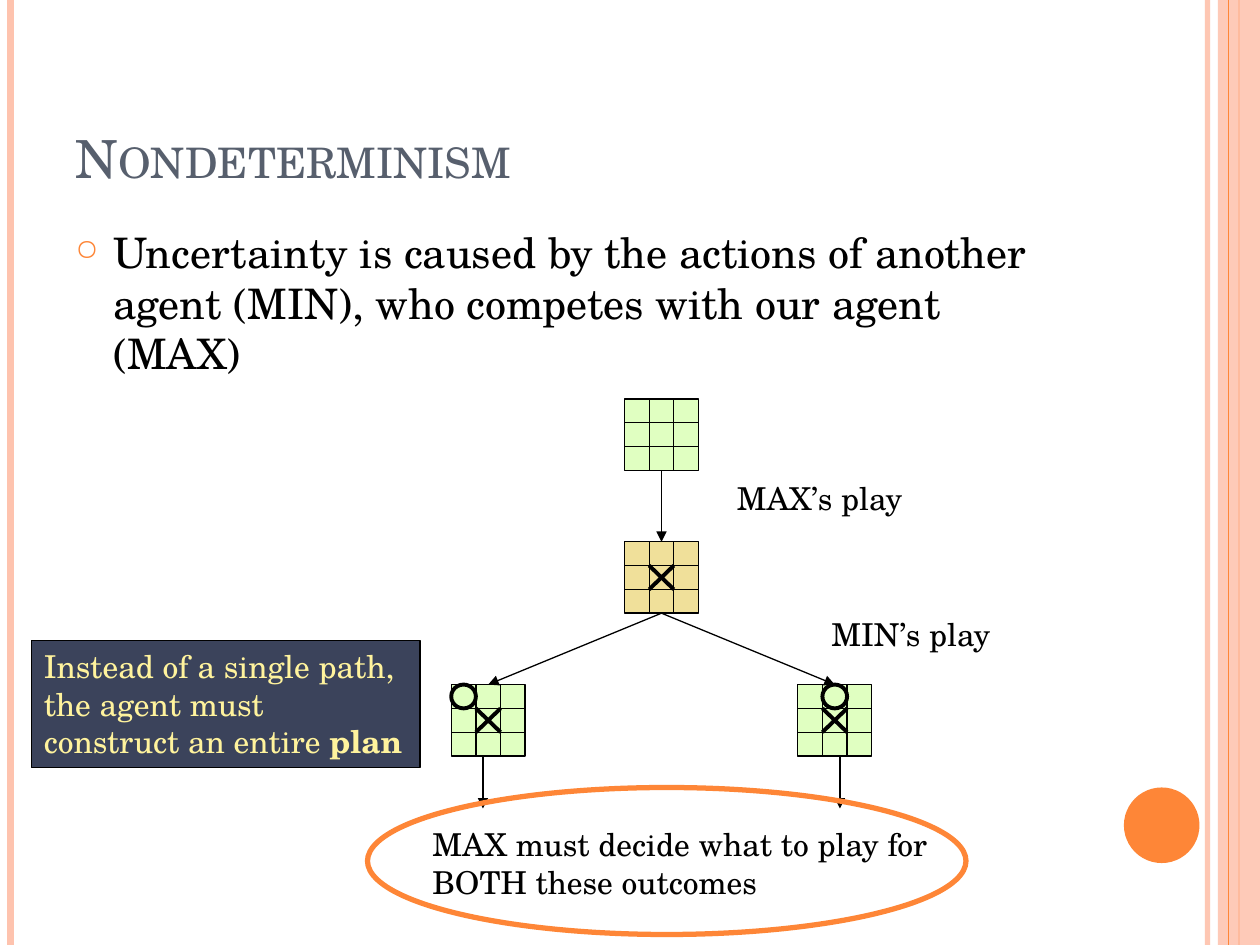
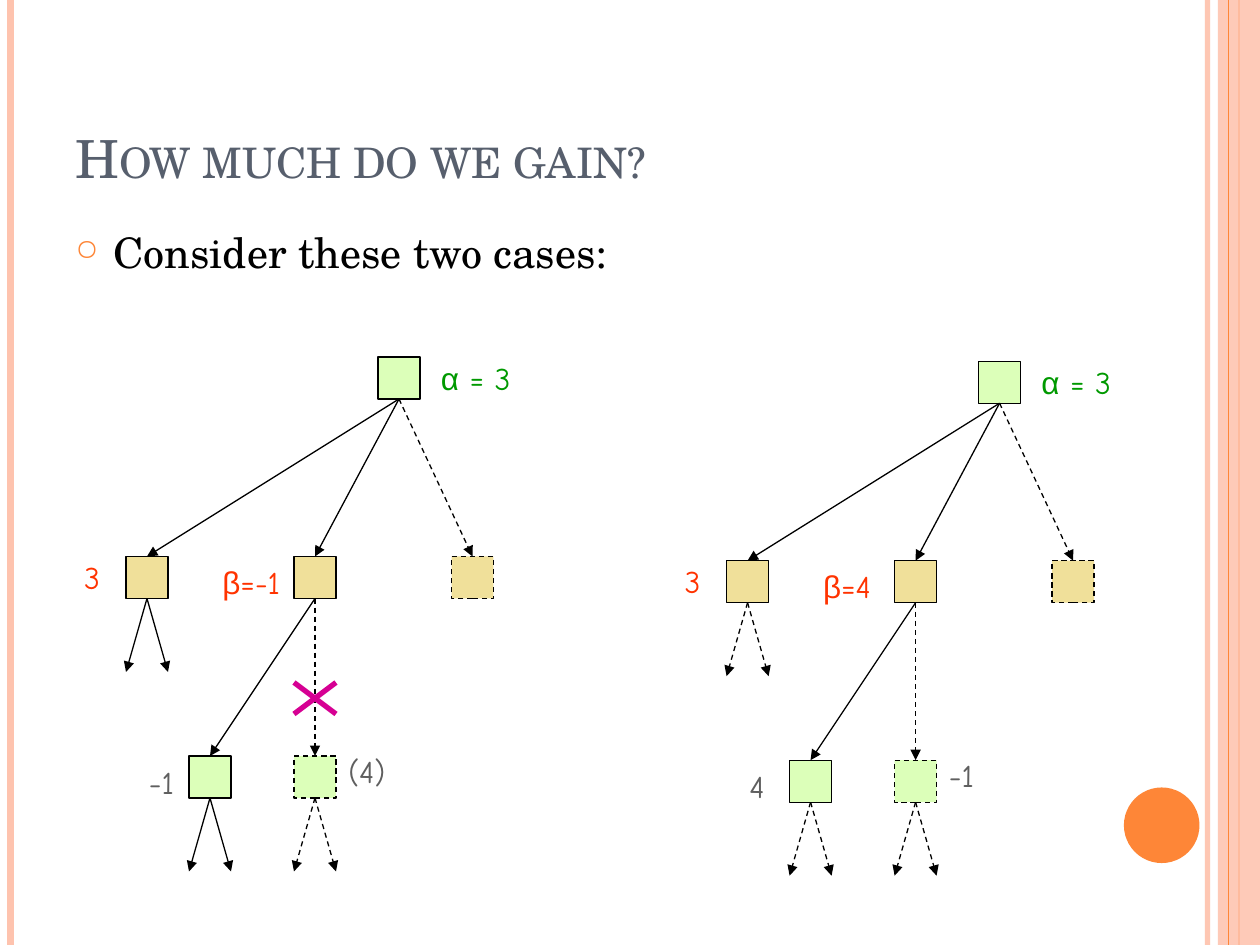
from functools import reduce

from lxml.etree import SubElement
from pptx import Presentation
from pptx.dml.color import RGBColor
from pptx.enum.dml import MSO_LINE
from pptx.enum.shapes import MSO_CONNECTOR, MSO_SHAPE
from pptx.enum.text import MSO_ANCHOR, MSO_AUTO_SIZE, PP_ALIGN
from pptx.oxml.ns import qn
from pptx.util import Pt

BLACK = RGBColor(0x00, 0x00, 0x00)
ORANGE = RGBColor(0xFE, 0x86, 0x37)
PEACH = RGBColor(0xFE, 0xC3, 0xAE)
SLATE = RGBColor(0x57, 0x5F, 0x6D)
NAVY = RGBColor(0x3B, 0x43, 0x5B)
CREAM = RGBColor(0xFF, 0xF3, 0x9D)
LIME = RGBColor(0xE0, 0xFF, 0xC1)
MINT = RGBColor(0xDC, 0xFF, 0xB9)
SAND = RGBColor(0xF0, 0xE0, 0x9A)
RED = RGBColor(0xFF, 0x33, 0x00)
GREEN = RGBColor(0x00, 0x99, 0x00)
GRAY = RGBColor(0x5F, 0x5F, 0x5F)
MAGENTA = RGBColor(0xD6, 0x00, 0x93)

SERIF, COMIC, SANS = "TeX Gyre Schola", "Comic Neue", "Arial"
SLIDE_WIDTH, SLIDE_HEIGHT = 720, 540
CELL_WIDTH, CELL_HEIGHT = 14.1, 13.6
BOARD_WIDTH, BOARD_HEIGHT = 3 * CELL_WIDTH, 3 * CELL_HEIGHT
NODE = 24
TWIG_DROP = 42

NODES = {
    "root": (144, 0, MINT, False),
    "first": (0, 114, SAND, False),
    "second": (96, 114, SAND, False),
    "third": (186, 114, SAND, True),
    "explored": (36, 228, MINT, False),
    "pending": (96, 228, MINT, True),
}
BRANCHES = [
    ("root", "first"), ("root", "second"), ("root", "third"),
    ("second", "explored"), ("second", "pending"),
]


def apply_format(target, values):
    """Set each dotted attribute of the target to its value."""
    for key, value in values.items():
        *parents, leaf = key.split(".")
        setattr(reduce(getattr, parents, target), leaf, value)


def set_opacity(part, percent):
    """Make the first colour of a part partly transparent."""
    colour = next(part._element.spPr.iter(qn("a:srgbClr")))
    SubElement(colour, qn("a:alpha"), val=str(percent * 1000))


def draw_line(canvas, start, end, colour=BLACK, weight=0.75, dashed=False, arrow=False):
    """Draw a straight line, with an arrowhead at its end if asked."""
    line = canvas.add_connector(MSO_CONNECTOR.STRAIGHT, *map(Pt, (*start, *end)))
    apply_format(line.line, {"color.rgb": colour, "width": Pt(weight)})
    if dashed:
        line.line.dash_style = MSO_LINE.DASH
    if arrow:
        SubElement(line.line._get_or_add_ln(), qn("a:tailEnd"), type="triangle")
    SubElement(line._element.spPr, qn("a:effectLst"))
    return line


def draw_shape(canvas, kind, box, fill=None, outline=None, weight=0.75, dashed=False):
    """Draw a preset shape with optional fill and outline."""
    shape = canvas.add_shape(kind, *map(Pt, box))
    shape.shadow.inherit = False
    if fill is None:
        shape.fill.background()
    else:
        shape.fill.solid()
        shape.fill.fore_color.rgb = fill
    if outline is None:
        shape.line.fill.background()
    else:
        apply_format(shape.line, {"color.rgb": outline, "width": Pt(weight)})
    if dashed:
        shape.line.dash_style = MSO_LINE.DASH
    return shape


def write(frame, pieces, size=18, colour=BLACK, wrap=True, anchor=MSO_ANCHOR.TOP):
    """Write (text, font, bold) pieces as one paragraph and return it."""
    apply_format(frame, {"word_wrap": wrap, "vertical_anchor": anchor})
    paragraph = frame.paragraphs[0]
    paragraph.alignment = PP_ALIGN.LEFT
    for text, font, bold in pieces:
        run = paragraph.add_run()
        run.text = text
        apply_format(run.font, {"name": font, "size": Pt(size), "bold": bold, "color.rgb": colour})
    return paragraph


def add_text(canvas, box, pieces, **style):
    """Add a text box and return its paragraph."""
    return write(canvas.add_textbox(*map(Pt, box)).text_frame, pieces, **style)


def add_label(canvas, box, pieces, colour):
    """Add a node label that hugs its text."""
    frame = canvas.add_textbox(*map(Pt, box)).text_frame
    write(frame, pieces, colour=colour, wrap=False)
    frame.auto_size = MSO_AUTO_SIZE.SHAPE_TO_FIT_TEXT


def draw_cross(canvas, left, top, width, height, colour, weight):
    """Cross the given box with two diagonals."""
    right, bottom = left + width, top + height
    draw_line(canvas, (left, top), (right, bottom), colour, weight)
    draw_line(canvas, (left, bottom), (right, top), colour, weight)


def add_frame(canvas, width, height):
    """Draw the side bands and the orange disc."""
    def vertical(x, colour, weight):
        return draw_line(canvas, (x, 0), (x, height), colour, weight)

    set_opacity(vertical(width - 30, PEACH, 3), 93)
    vertical(6, PEACH, 4.5)
    vertical(width - 12, ORANGE, 1.5)
    band = draw_shape(canvas, MSO_SHAPE.RECTANGLE, (width - 24, 0, 24, height), PEACH)
    set_opacity(band, 87)
    vertical(width - 18, ORANGE, 0.75)
    draw_shape(canvas, MSO_SHAPE.OVAL, (width - 77.76, height - 90, 43.2, 43.2), ORANGE)


def add_heading(canvas, left, width, title, point):
    """Write the small-caps title and the bulleted statement."""
    heading = add_text(canvas, (left, 21.6, width, 90), [(title, SERIF, False)],
                       size=30, colour=SLATE, anchor=MSO_ANCHOR.BOTTOM)
    heading.runs[0]._r.get_or_add_rPr().set("cap", "small")
    statement = add_text(canvas, (left, 126, width, 384), [(point, SERIF, False)], size=24)
    statement.space_before = Pt(6)
    properties = statement._p.get_or_add_pPr()
    properties.set("marL", str(Pt(21.6)))
    properties.set("indent", str(-Pt(21.6)))
    bullet_colour = SubElement(properties, qn("a:buClr"))
    SubElement(bullet_colour, qn("a:srgbClr"), val=str(ORANGE))
    SubElement(properties, qn("a:buSzPct"), val="70000")
    SubElement(properties, qn("a:buChar"), char="○")


def start_slide(deck, title, point):
    """Add a slide with the shared frame and heading and return its shapes."""
    canvas = deck.slides.add_slide(deck.slide_layouts[6]).shapes
    add_frame(canvas, SLIDE_WIDTH, SLIDE_HEIGHT)
    add_heading(canvas, 36, 588, title, point)
    return canvas


def draw_board(canvas, centre, top, fill, crossed=False, nought_column=None):
    """Draw a three-by-three board with an optional cross and nought."""
    left = centre - BOARD_WIDTH / 2
    right, bottom = left + BOARD_WIDTH, top + BOARD_HEIGHT
    draw_shape(canvas, MSO_SHAPE.RECTANGLE, (left, top, BOARD_WIDTH, BOARD_HEIGHT), fill, BLACK)
    for step in (1, 2):
        x, y = left + step * CELL_WIDTH, top + step * CELL_HEIGHT
        draw_line(canvas, (left, y), (right, y))
        draw_line(canvas, (x, top), (x, bottom))
    if crossed:
        draw_cross(canvas, left + CELL_WIDTH, top + CELL_HEIGHT,
                   CELL_WIDTH, CELL_HEIGHT, BLACK, 2.25)
    if nought_column is not None:
        nought = (left + nought_column * CELL_WIDTH, top, CELL_WIDTH, CELL_HEIGHT)
        draw_shape(canvas, MSO_SHAPE.OVAL, nought, None, BLACK, 2.25)


def draw_game_tree(canvas, centre, top, spread):
    """Draw the empty board, MAX's move and MIN's two replies."""
    move_top, reply_top = top + 2 * BOARD_HEIGHT, top + 4 * BOARD_HEIGHT
    draw_board(canvas, centre, top, LIME)
    draw_board(canvas, centre, move_top, SAND, crossed=True)
    draw_line(canvas, (centre, top + BOARD_HEIGHT), (centre, move_top), arrow=True)
    for column, reply in enumerate((centre - spread, centre + spread)):
        draw_board(canvas, reply, reply_top, LIME, crossed=True, nought_column=column)
        draw_line(canvas, (centre, move_top + BOARD_HEIGHT), (reply, reply_top), arrow=True)


def build_nondeterminism(deck):
    """Build the slide on the opponent's moves."""
    canvas = start_slide(deck, "Nondeterminism",
                         "Uncertainty is caused by the actions of another agent (MIN), "
                         "who competes with our agent (MAX)")
    draw_game_tree(canvas.add_group_shape().shapes, 378, 228, 99)
    for box, remark in (
        ((414, 270, 120, 29), "MAX’s play"),
        ((240, 468, 306, 50), "MAX must decide what to play for BOTH these outcomes"),
        ((468, 348, 120, 29), "MIN’s play"),
    ):
        add_text(canvas, box, [(remark, SERIF, False)])
    for x in (276, 480):
        draw_line(canvas, (x, 432), (x, 462), arrow=True)
    draw_shape(canvas, MSO_SHAPE.OVAL, (210, 450, 342, 84), None, ORANGE, 3)
    callout = draw_shape(canvas, MSO_SHAPE.RECTANGLE, (18, 366, 222, 72.7), NAVY, BLACK)
    write(callout.text_frame,
          [("Instead of a single path, the agent must construct an entire ", SERIF, False),
           ("plan", SERIF, True)], colour=CREAM)


def draw_case(canvas, left, top, beta, explored, pending, dashed_twigs, pruned):
    """Draw one search tree with its bounds and leaf values."""
    for x, y, fill, dashed in NODES.values():
        draw_shape(canvas, MSO_SHAPE.RECTANGLE, (left + x, top + y, NODE, NODE),
                   fill, BLACK, dashed=dashed)

    def foot(name):
        x, y = NODES[name][:2]
        return left + x + NODE / 2, top + y + NODE

    for parent, child in BRANCHES:
        x, y = foot(child)
        draw_line(canvas, foot(parent), (x, y - NODE), dashed=NODES[child][3], arrow=True)
    for name in ("first", "explored", "pending"):
        x, y = foot(name)
        for shift in (-NODE / 2, NODE / 2):
            draw_line(canvas, (x, y), (x + shift, y + TWIG_DROP),
                      dashed=name in dashed_twigs, arrow=True)

    for x, y, width, colour, greek, value in (
        (-31, 111.4, 25, RED, "", "3"),
        (172.8, -2.4, 57, GREEN, "α", " = 3"),
        (6, 228.6, 30 if len(explored) > 1 else 25, GRAY, "", explored),
        (48, 114, 49 if len(beta) > 2 else 44.6, RED, "β", beta),
        (120, 222, 39 if len(pending) > 2 else 30, GRAY, "", pending),
    ):
        pieces = [(greek, SANS, False)] if greek else []
        add_label(canvas, (left + x, top + y, width, 29),
                  pieces + [(value, COMIC, False)], colour)
    if pruned:
        draw_cross(canvas, left + 96, top + 186, NODE, 18, MAGENTA, 3)


def build_gain(deck):
    """Build the slide comparing two search orders."""
    canvas = start_slide(deck, "How much do we gain?", "Consider these two cases:")
    draw_case(canvas.add_group_shape().shapes, 72, 204, "=-1", "-1", "(4)",
              {"pending"}, pruned=True)
    draw_case(canvas.add_group_shape().shapes, 415.2, 206.4, "=4", "4", "-1",
              {"first", "explored", "pending"}, pruned=False)


def main():
    """Build and save the deck."""
    deck = Presentation()
    apply_format(deck, {"slide_width": Pt(SLIDE_WIDTH), "slide_height": Pt(SLIDE_HEIGHT)})
    build_nondeterminism(deck)
    build_gain(deck)
    deck.save("out.pptx")


if __name__ == "__main__":
    main()
